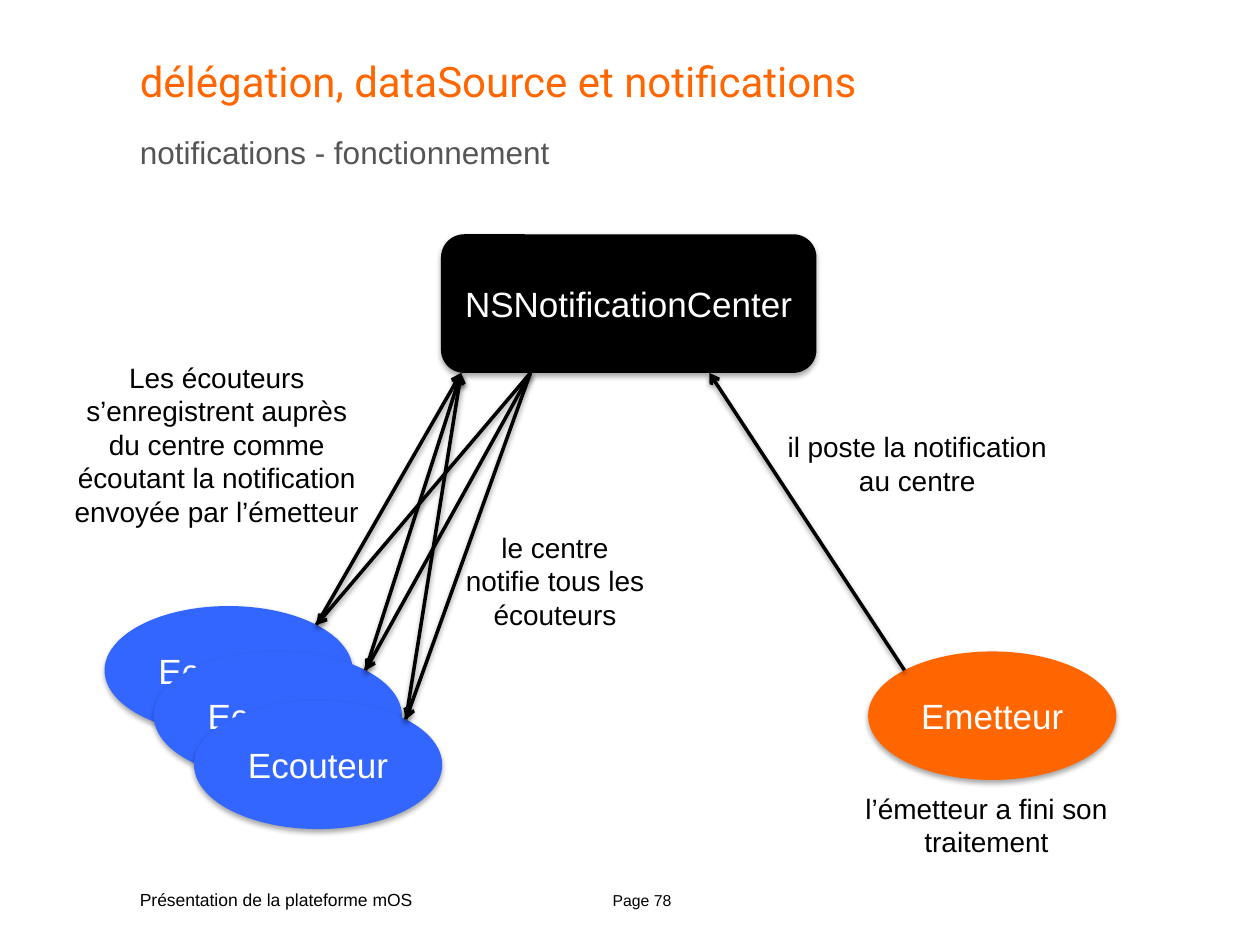
import pptx
import pptx.util
import pptx.dml.color
import pptx.enum.shapes
import pptx.enum.text
import pptx.oxml
import pptx.oxml.ns

Inches = pptx.util.Inches
Pt = pptx.util.Pt
RGBColor = pptx.dml.color.RGBColor
Shape = pptx.enum.shapes.MSO_SHAPE
Align = pptx.enum.text.PP_ALIGN
Anchor = pptx.enum.text.MSO_ANCHOR

BLACK = RGBColor(0x00, 0x00, 0x00)
WHITE = RGBColor(0xFF, 0xFF, 0xFF)
ORANGE = RGBColor(0xFF, 0x66, 0x00)
BLUE = RGBColor(0x33, 0x66, 0xFF)
GRAY = RGBColor(0x55, 0x55, 0x55)

NODE_WIDTH, NODE_HEIGHT = 1.97, 1.02
CENTER_BOTTOM = 2.96
LISTENERS = [(0.83, 4.81), (1.22, 5.17), (1.54, 5.56)]
SENDER = (6.89, 5.17)


def write_text(frame, text, size, color, align, font="Arial"):
    frame.text = text
    paragraph = frame.paragraphs[0]
    paragraph.alignment = align
    paragraph.font.size = Pt(size)
    paragraph.font.name = font
    paragraph.font.color.rgb = color


def add_text(slide, box, text, size, color=BLACK, align=Align.LEFT,
             font="Arial", margins=(0.1, 0.05), wrap=True):
    shape = slide.shapes.add_textbox(*map(Inches, box))
    frame = shape.text_frame
    frame.word_wrap = wrap
    frame.margin_left = frame.margin_right = Inches(margins[0])
    frame.margin_top = frame.margin_bottom = Inches(margins[1])
    write_text(frame, text, size, color, align, font)
    return shape


def add_caption(slide, box, text):
    shape = add_text(slide, box, text, 16, align=Align.CENTER)
    shape.text_frame.auto_size = pptx.enum.text.MSO_AUTO_SIZE.SHAPE_TO_FIT_TEXT


def add_shadow(properties, distance, opacity):
    for effects in properties.findall(pptx.oxml.ns.qn("a:effectLst")):
        properties.remove(effects)
    properties.append(pptx.oxml.parse_xml(
        f'<a:effectLst {pptx.oxml.ns.nsdecls("a")}>'
        f'<a:outerShdw blurRad="{Pt(3.1)}" dist="{Pt(distance)}" dir="5400000" rotWithShape="0">'
        f'<a:srgbClr val="{BLACK}"><a:alpha val="{opacity * 1000}"/></a:srgbClr>'
        '</a:outerShdw></a:effectLst>'))


def add_node(slide, kind, box, text, color):
    shape = slide.shapes.add_shape(kind, *map(Inches, box))
    shape.fill.solid()
    shape.fill.fore_color.rgb = color
    shape.line.fill.background()
    add_shadow(shape._element.spPr, 1.8, 35)
    shape.text_frame.word_wrap = True
    shape.text_frame.vertical_anchor = Anchor.MIDDLE
    write_text(shape.text_frame, text, 20, WHITE, Align.CENTER)


def add_ellipse(slide, position, text, color):
    add_node(slide, Shape.OVAL, (*position, NODE_WIDTH, NODE_HEIGHT), text, color)


def add_arrow(slide, start, end):
    connector = slide.shapes.add_connector(
        pptx.enum.shapes.MSO_CONNECTOR.STRAIGHT, *map(Inches, (*start, *end)))
    connector.line.width = Pt(2)
    connector.line.color.rgb = BLACK
    properties = connector._element.spPr
    properties.find(pptx.oxml.ns.qn("a:ln")).append(pptx.oxml.parse_xml(
        f'<a:tailEnd {pptx.oxml.ns.nsdecls("a")} type="arrow"/>'))
    add_shadow(properties, 1.6, 38)


def ellipse_corner(position, side):
    diagonal = 0.5 ** 0.5
    return (position[0] + NODE_WIDTH / 2 * (1 + side * diagonal),
            position[1] + NODE_HEIGHT / 2 * (1 - diagonal))


def main():
    presentation = pptx.Presentation()
    presentation.slide_width = Inches(10)
    presentation.slide_height = Inches(7.5)
    slide = presentation.slides.add_slide(presentation.slide_layouts[6])

    add_text(slide, (4.69, 7.02, 0.81, 0.24), "Page 78", 9, align=Align.CENTER)
    add_text(slide, (1.11, 0.44, 8.54, 0.54), "délégation, dataSource et notifications",
             24, ORANGE, font="Roboto", margins=(0, 0))
    add_text(slide, (1.11, 7.01, 2.72, 0.24), "Présentation de la plateforme mOS",
             10, margins=(0, 0.05), wrap=False)
    add_text(slide, (1.11, 1.06, 8.54, 0.33), "notifications - fonctionnement",
             18, GRAY, margins=(0, 0))

    add_node(slide, Shape.ROUNDED_RECTANGLE, (3.5, 1.86, 2.98, 1.1),
             "NSNotificationCenter", BLACK)
    add_ellipse(slide, SENDER, "Emetteur", ORANGE)
    add_arrow(slide, ellipse_corner(SENDER, -1), (5.63, CENTER_BOTTOM))

    for position in LISTENERS:
        add_ellipse(slide, position, "Ecouteur", BLUE)
    corners = [ellipse_corner(position, 1) for position in LISTENERS]
    for corner in corners:
        add_arrow(slide, corner, (3.66, CENTER_BOTTOM))
    for corner in reversed(corners):
        add_arrow(slide, (4.21, CENTER_BOTTOM), corner)

    add_caption(slide, (6.73, 6.23, 2.2, 0.64), "l’émetteur a fini son traitement")
    add_caption(slide, (6.1, 3.36, 2.36, 0.64), "il poste la notification au centre")
    add_caption(slide, (0.46, 2.81, 2.52, 1.45),
                "Les écouteurs s’enregistrent auprès du centre comme "
                "écoutant la notification envoyée par l’émetteur")
    add_caption(slide, (3.58, 4.16, 1.65, 0.91), "le centre notifie tous les écouteurs")

    presentation.save("out.pptx")


if __name__ == "__main__":
    main()
